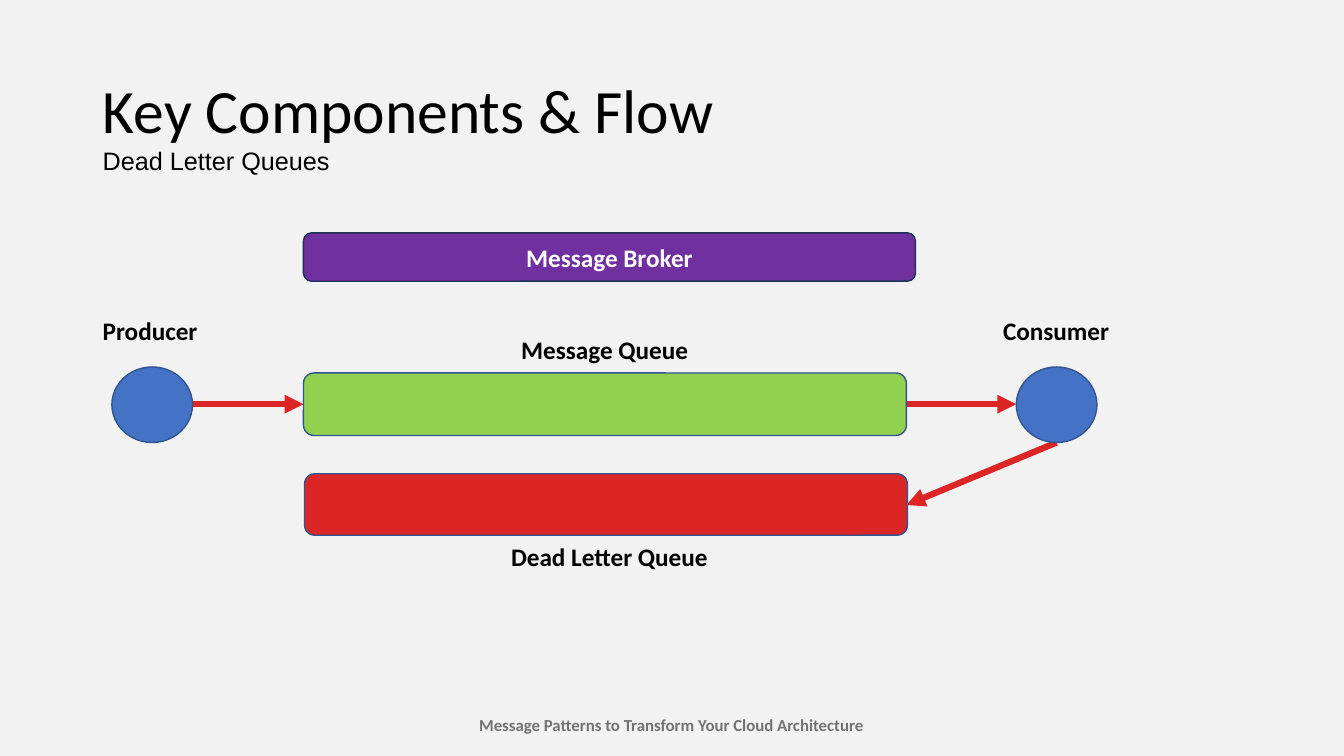
import pptx
import pptx.util
import pptx.dml.color
import pptx.enum.shapes
import pptx.enum.text
import pptx.oxml.ns
import lxml.etree

Inches = pptx.util.Inches
Pt = pptx.util.Pt
RGB = pptx.dml.color.RGBColor.from_string
SHAPE = pptx.enum.shapes.MSO_SHAPE
ALIGN = pptx.enum.text.PP_ALIGN
ANCHOR = pptx.enum.text.MSO_ANCHOR
qn = pptx.oxml.ns.qn

COLORS = {
    "background": "F2F2F2",
    "text": "000000",
    "footer": "727272",
    "white": "FFFFFF",
    "blue": "4472C4",
    "outline": "325491",
    "green": "92D050",
    "red": "DC2626",
    "purple": "7030A0",
    "dark": "1E3256",
}


def write(sp, text, size=18, bold=True, color="text", font="Calibri",
          align=ALIGN.LEFT, anchor=ANCHOR.TOP, wrap=False, spacing=None):
    tf = sp.text_frame
    tf.word_wrap = wrap
    tf.vertical_anchor = anchor
    p = tf.paragraphs[0]
    p.alignment = align
    p.line_spacing = spacing
    r = p.add_run()
    r.text = text
    r.font.size = Pt(size)
    r.font.bold = bold
    r.font.name = font
    r.font.color.rgb = RGB(COLORS[color])


prs = pptx.Presentation()
prs.slide_width = Inches(13.33)
prs.slide_height = Inches(7.5)
s = prs.slides.add_slide(prs.slide_layouts[5])
s.background.fill.solid()
s.background.fill.fore_color.rgb = RGB(COLORS["background"])

title = s.shapes.title
title.left, title.top = Inches(0.92), Inches(0.4)
title.width, title.height = Inches(11.5), Inches(1.45)
write(title, "Key Components & Flow", size=44, bold=False,
      anchor=ANCHOR.MIDDLE, wrap=True, spacing=0.9)

for x1, y1, x2, y2 in [
    (1.91, 4.01, 3.01, 4.01),
    (8.99, 4.01, 10.08, 4.01),
    (10.48, 4.39, 8.99, 5.01),
]:
    arrow = s.shapes.add_connector(pptx.enum.shapes.MSO_CONNECTOR.STRAIGHT,
                                   Inches(x1), Inches(y1), Inches(x2), Inches(y2))
    arrow.line.color.rgb = RGB(COLORS["red"])
    arrow.line.width = Pt(4.5)
    spPr = arrow._element.spPr
    lxml.etree.SubElement(spPr.find(qn("a:ln")), qn("a:tailEnd"), type="triangle")
    lxml.etree.SubElement(spPr, qn("a:effectLst"))

for shape, x, y, w, h, fill, line, text in [
    (SHAPE.OVAL, 1.11, 3.64, 0.8, 0.75, "blue", "outline", None),
    (SHAPE.ROUNDED_RECTANGLE, 3.01, 3.7, 5.98, 0.62, "green", "outline", None),
    (SHAPE.OVAL, 10.08, 3.64, 0.8, 0.75, "blue", "outline", None),
    (SHAPE.ROUNDED_RECTANGLE, 3.01, 2.31, 6.07, 0.48, "purple", "dark", "Message Broker"),
    (SHAPE.ROUNDED_RECTANGLE, 3.02, 4.7, 5.98, 0.61, "red", "outline", None),
]:
    sp = s.shapes.add_shape(shape, Inches(x), Inches(y), Inches(w), Inches(h))
    sp.shadow.inherit = False
    sp.fill.solid()
    sp.fill.fore_color.rgb = RGB(COLORS[fill])
    sp.line.color.rgb = RGB(COLORS[line])
    sp.line.width = Pt(1)
    if text:
        write(sp, text, color="white", align=ALIGN.CENTER,
              anchor=ANCHOR.MIDDLE, wrap=True)

for text, x, y, w, h, style in [
    ("Producer", 0.92, 3.08, 1.15, 0.4, {}),
    ("Message Queue", 5.07, 3.27, 1.87, 0.4, {}),
    ("Consumer", 9.85, 3.08, 1.25, 0.4, {}),
    ("Dead Letter Queue", 4.97, 5.32, 2.18, 0.4, {}),
    ("Dead Letter Queues", 0.92, 1.39, 2.76, 0.4, {"font": "Arial", "bold": False}),
    ("Message Patterns to Transform Your Cloud Architecture", 4.63, 7.04, 4.06, 0.3,
     {"size": 12, "color": "footer", "align": ALIGN.CENTER}),
]:
    sp = s.shapes.add_textbox(Inches(x), Inches(y), Inches(w), Inches(h))
    write(sp, text, **style)

prs.save("out.pptx")
